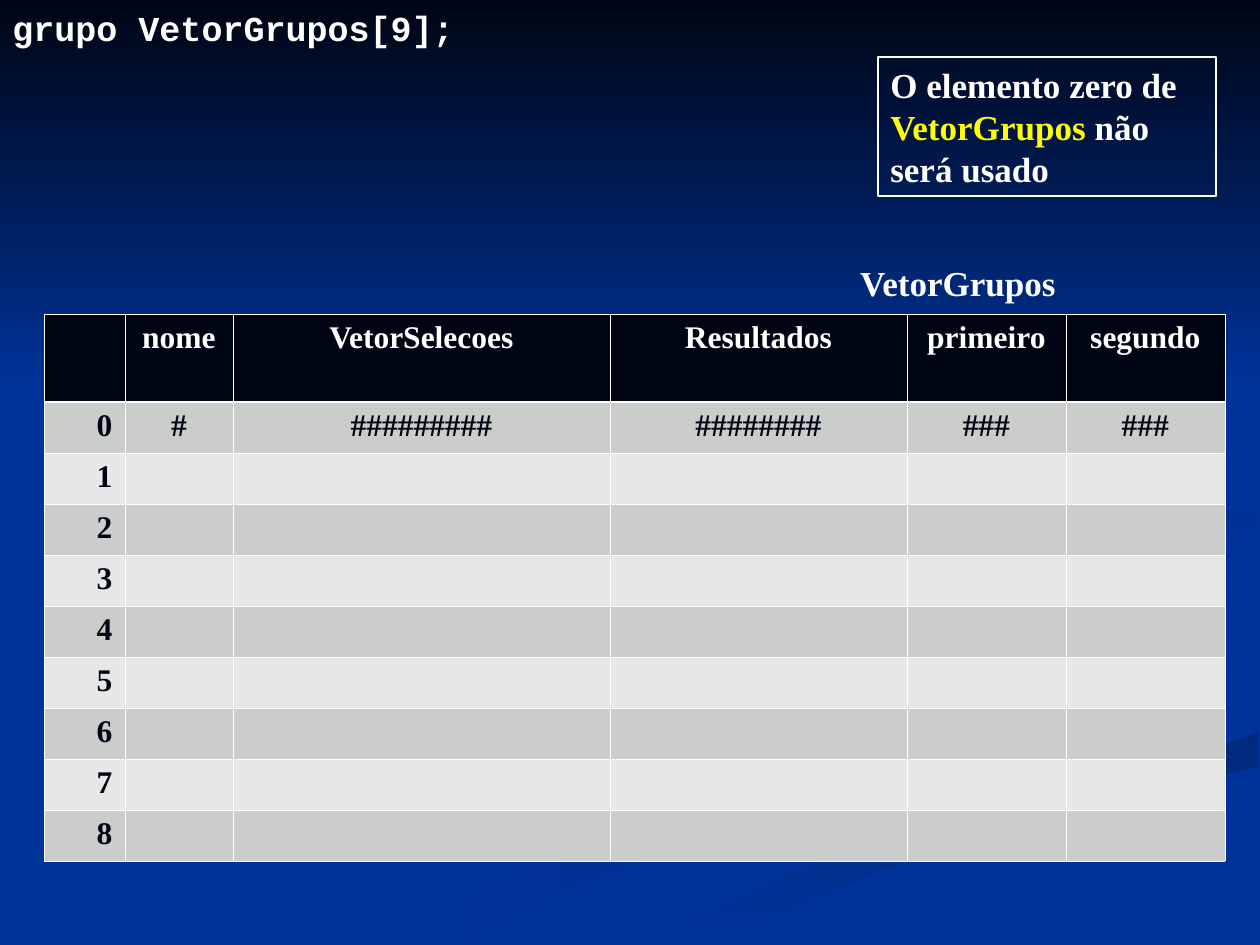
from dataclasses import dataclass

from lxml.etree import SubElement
from pptx import Presentation
from pptx.dml.color import RGBColor
from pptx.enum.shapes import MSO_SHAPE
from pptx.enum.text import MSO_ANCHOR, PP_ALIGN
from pptx.oxml.ns import qn
from pptx.util import Emu, Pt

SCALE = 914400 / 126
WIDTH, HEIGHT = 1260, 945
NAVY, BLUE, WHITE, YELLOW = "000514", "003399", "FFFFFF", "FFFF00"
DARK_BAND, LIGHT_BAND = "CBCCCC", "E7E7E7"
SERIF, MONO = "Times New Roman", "Courier New"

Points = list[tuple[int, int]]


@dataclass(frozen=True)
class Swirl:
    """A background outline; angle is clockwise and used when two colours are given."""
    points: Points
    colors: tuple[str, ...]
    angle: int = 0


@dataclass(frozen=True)
class Box:
    left: int
    top: int
    width: int
    height: int


# Edges shared by neighbouring swirls
LOWER_EDGE = [(654, 941), (717, 906), (794, 873), (877, 843), (1004, 804),
              (1138, 769), (1197, 754), (1258, 732)]
MIDDLE_EDGE = [(913, 585), (924, 609), (976, 634), (1071, 660), (1141, 680),
               (1178, 702), (1188, 718)]
UPPER_EDGE = [(984, 580), (997, 563), (1035, 547), (1090, 534), (1176, 523), (1258, 507)]

SWIRLS = [
    Swirl([(984, 697), (921, 670), (833, 639), (759, 617), (735, 601), (723, 585),
           (725, 578), (718, 590), (732, 609), (770, 629), (856, 654), (934, 679),
           (984, 701), (990, 713), (982, 729), (944, 748), (881, 767), (776, 792),
           (679, 818), (577, 849), (474, 891), (378, 944), (455, 944), (543, 900),
           (629, 866), (711, 838), (820, 806), (908, 785), (969, 767), (997, 752),
           (1008, 732), (1002, 714)], (BLUE, "002E8B"), 0),
    Swirl(MIDDLE_EDGE[::-1] +
          [(916, 604), (940, 630), (984, 653), (1056, 675), (1109, 692), (1143, 709),
           (1157, 732), (1148, 747), (1126, 762), (1165, 747), (1186, 732)],
          (BLUE, "002E8B"), 45),
    Swirl(LOWER_EDGE[::-1] +
          [(634, 944), (719, 944), (756, 923), (818, 895), (910, 859), (1034, 820),
           (1138, 794), (1258, 767)], ("002A7D", BLUE), 90),
    Swirl(MIDDLE_EDGE +
          [(1184, 734), (1167, 747), (1110, 766), (1024, 788), (936, 810), (835, 842),
           (722, 886), (601, 944), (634, 944)] + LOWER_EDGE +
          [(1258, 678), (1186, 664), (1091, 641), (1030, 620), (990, 596)] + UPPER_EDGE +
          [(1258, 488), (1187, 503), (1101, 514), (1018, 526), (951, 544), (920, 566)],
          (BLUE,)),
    Swirl(UPPER_EDGE +
          [(1258, 529), (1223, 533), (1129, 548), (1062, 564), (1023, 582), (1014, 595),
           (1019, 608), (1041, 625), (1016, 614), (990, 597)], ("002D86", BLUE), 45),
    Swirl([(861, 542), (963, 525), (1040, 507), (1092, 484), (1120, 456), (1126, 434),
           (1121, 408), (1100, 377), (1062, 347), (1007, 315), (960, 294), (1014, 320),
           (1066, 352), (1104, 386), (1119, 422), (1111, 446), (1085, 466), (1046, 481),
           (961, 501), (852, 522), (788, 537), (742, 556), (727, 582), (736, 604),
           (784, 630), (757, 611), (747, 592), (757, 574), (786, 559)],
          ("002B82", BLUE), 45),
    Swirl([(0, 0), (0, 388), (WIDTH, 388), (WIDTH, 0)], (NAVY, BLUE), 90),
]

COLUMN_WIDTHS = [81, 108, 377, 297, 159, 159]
HEADER_HEIGHT, ROW_HEIGHT = 88, 51
ROWS = [
    ["", "nome", "VetorSelecoes", "Resultados", "primeiro", "segundo"],
    ["0", "#", "#########", "########", "###", "###"],
    *[[str(index)] + [""] * 5 for index in range(1, 9)],
]


def px(value: int) -> Emu:
    return Emu(round(value * SCALE))


def rgb(color: str) -> RGBColor:
    return RGBColor.from_string(color)


def place(box: Box) -> tuple[Emu, Emu, Emu, Emu]:
    return px(box.left), px(box.top), px(box.width), px(box.height)


def set_font(font, size: int, color: str, name: str = SERIF) -> None:
    font.name, font.size, font.bold = name, Pt(size), True
    font.color.rgb = rgb(color)


def draw_swirl(slide, swirl: Swirl) -> None:
    builder = slide.shapes.build_freeform(*swirl.points[0], scale=SCALE)
    builder.add_line_segments(swirl.points[1:], close=True)
    shape = builder.convert_to_shape()
    shape.shadow.inherit = False
    shape.line.fill.background()
    if len(swirl.colors) == 1:
        shape.fill.solid()
        shape.fill.fore_color.rgb = rgb(swirl.colors[0])
        return
    shape.fill.gradient()
    shape.fill.gradient_angle = -swirl.angle % 360
    for stop, color, position in zip(shape.fill.gradient_stops, swirl.colors, (0, 1)):
        stop.color.rgb = rgb(color)
        stop.position = position


def draw_text(slide, box: Box, text: str, align: PP_ALIGN, name: str = SERIF):
    frame = slide.shapes.add_textbox(*place(box)).text_frame
    frame.word_wrap = True
    paragraph = frame.paragraphs[0]
    paragraph.text = text
    paragraph.alignment = align
    set_font(paragraph.font, 20, WHITE, name)
    return paragraph


def draw_note(slide, box: Box, runs: list[tuple[str, str]]) -> None:
    shape = slide.shapes.add_shape(MSO_SHAPE.RECTANGLE, *place(box))
    shape.shadow.inherit = False
    shape.fill.background()
    shape.line.color.rgb = rgb(WHITE)
    shape.line.width = Pt(0.75)
    shape.text_frame.word_wrap = True
    shape.text_frame.vertical_anchor = MSO_ANCHOR.TOP
    paragraph = shape.text_frame.paragraphs[0]
    paragraph.alignment = PP_ALIGN.LEFT
    for text, color in runs:
        run = paragraph.add_run()
        run.text = text
        set_font(run.font, 20, color)


def set_borders(cell, widths: dict[str, float]) -> None:
    """Put white lines on the sides named L, R, T and B, in points."""
    properties = cell._tc.get_or_add_tcPr()
    for index, (side, width) in enumerate(widths.items()):
        line = SubElement(properties, qn(f"a:ln{side}"), w=str(Pt(width)))
        properties.insert(index, line)
        fill = SubElement(line, qn("a:solidFill"))
        SubElement(fill, qn("a:srgbClr"), val=WHITE)


def draw_table(slide, left: int, top: int) -> None:
    height = HEADER_HEIGHT + ROW_HEIGHT * (len(ROWS) - 1)
    box = Box(left, top, sum(COLUMN_WIDTHS), height)
    table = slide.shapes.add_table(len(ROWS), len(COLUMN_WIDTHS), *place(box)).table
    for column, width in zip(table.columns, COLUMN_WIDTHS):
        column.width = px(width)
    for row_index, texts in enumerate(ROWS):
        header = row_index == 0
        table.rows[row_index].height = px(HEADER_HEIGHT if header else ROW_HEIGHT)
        band = NAVY if header else DARK_BAND if row_index % 2 else LIGHT_BAND
        for column_index, text in enumerate(texts):
            cell = table.cell(row_index, column_index)
            cell.fill.solid()
            cell.fill.fore_color.rgb = rgb(band)
            set_borders(cell, {"L": 0.45, "R": 0.45,
                               "T": 1.47 if row_index == 1 else 0.45,
                               "B": 1.47 if header else 0.45})
            if text:
                paragraph = cell.text_frame.paragraphs[0]
                paragraph.text = text
                paragraph.alignment = PP_ALIGN.CENTER if column_index else PP_ALIGN.RIGHT
                set_font(paragraph.font, 18, WHITE if header else NAVY)


def main() -> None:
    presentation = Presentation()
    presentation.slide_width, presentation.slide_height = px(WIDTH), px(HEIGHT)
    slide = presentation.slides.add_slide(presentation.slide_layouts[6])
    slide.background.fill.solid()
    slide.background.fill.fore_color.rgb = rgb(BLUE)
    for swirl in SWIRLS:
        draw_swirl(slide, swirl)
    declaration = draw_text(slide, Box(0, 0, WIDTH, HEIGHT), "grupo VetorGrupos[9];",
                            PP_ALIGN.LEFT, MONO)
    declaration.space_before = Pt(5)
    draw_table(slide, 44, 314)
    draw_text(slide, Box(819, 255, 278, 55), "VetorGrupos", PP_ALIGN.CENTER)
    draw_note(slide, Box(878, 57, 338, 139),
              [("O elemento zero de ", WHITE), ("VetorGrupos", YELLOW),
               (" não será usado", WHITE)])
    presentation.save("out.pptx")


if __name__ == "__main__":
    main()
